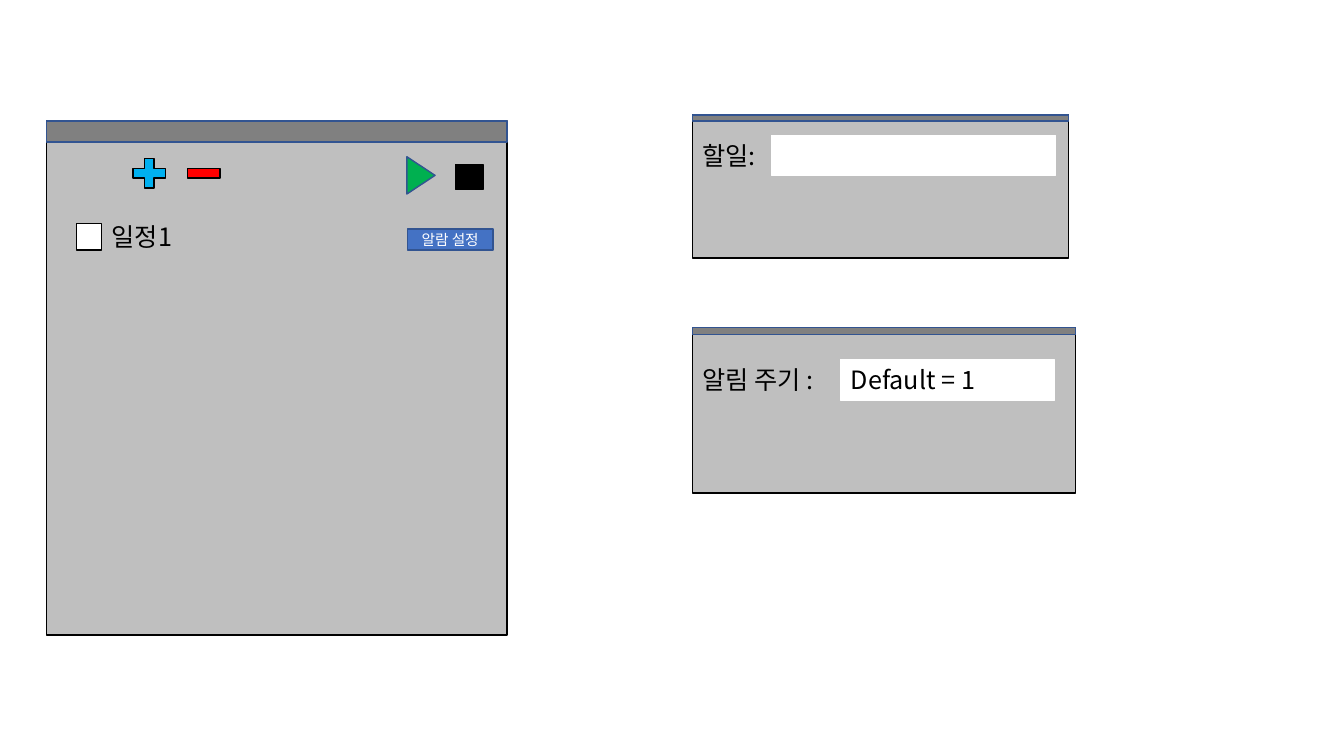
from dataclasses import dataclass

from lxml.etree import SubElement
from pptx import Presentation
from pptx.dml.color import RGBColor
from pptx.enum.shapes import MSO_SHAPE as Preset
from pptx.enum.text import MSO_ANCHOR as Anchor, PP_ALIGN as Align
from pptx.oxml.ns import qn
from pptx.shapes.autoshape import Shape
from pptx.shapes.shapetree import GroupShapes
from pptx.util import Emu, Pt

PX = 9144  # EMU per px, 100 px to the inch
FONT = "Noto Sans CJK KR"
BLACK, WHITE = "000000", "FFFFFF"
PANEL_GRAY, BAR_GRAY = "BFBFBF", "808080"
BLUE, DARK_BLUE = "4472C4", "325491"


@dataclass(frozen=True)
class Label:
    words: str
    size: float = 18
    color: str = BLACK
    align: Align = Align.LEFT
    anchor: Anchor = Anchor.TOP
    bottom_inset: int = 5


@dataclass(frozen=True)
class Control:
    left: int
    top: int
    width: int
    height: int
    fill: str = WHITE
    line: str = BLACK
    line_width: float = 1
    preset: Preset = Preset.RECTANGLE
    rotation: int = 0
    label: Label | None = None


@dataclass(frozen=True)
class Window:
    left: int
    top: int
    width: int
    height: int
    bar_height: int
    controls: tuple[Control, ...]
    title: str = ""


def rgb(color: str) -> RGBColor:
    return RGBColor.from_string(color)


def px(length: int) -> Emu:
    return Emu(length * PX)


def write(box: Shape, label: Label) -> None:
    frame = box.text_frame
    frame.word_wrap = True
    frame.vertical_anchor = label.anchor
    frame.margin_bottom = px(label.bottom_inset)
    para = frame.paragraphs[0]
    span = para.add_run()
    span.text = label.words
    para.alignment = label.align
    para.font.size = Pt(label.size)
    para.font.color.rgb = rgb(label.color)
    # Hangul takes the East Asian typeface, set on the run
    span.font.name = FONT
    SubElement(span.font._element, qn("a:ea"), typeface=FONT)


def draw_control(shapes: GroupShapes, control: Control) -> None:
    box = shapes.add_shape(control.preset, px(control.left), px(control.top),
                           px(control.width), px(control.height))
    box.shadow.inherit = False
    box.rotation = control.rotation
    box.fill.solid()
    box.fill.fore_color.rgb = rgb(control.fill)
    box.line.color.rgb = rgb(control.line)
    box.line.width = Pt(control.line_width)
    if control.label:
        write(box, control.label)


def draw_text(shapes: GroupShapes, left: int, top: int, width: int,
              height: int, label: Label) -> None:
    write(shapes.add_textbox(px(left), px(top), px(width), px(height)), label)


def draw_window(page_shapes: GroupShapes, window: Window) -> GroupShapes:
    shapes = page_shapes.add_group_shape().shapes
    # The title sits above the middle of the panel
    title = Label(window.title, anchor=Anchor.MIDDLE,
                  bottom_inset=67) if window.title else None
    panel = Control(window.left, window.top, window.width, window.height,
                    PANEL_GRAY, label=title)
    bar = Control(window.left, window.top, window.width, window.bar_height,
                  BAR_GRAY, DARK_BLUE)
    for control in (panel, bar, *window.controls):
        draw_control(shapes, control)
    return shapes


# Schedule list with its toolbar, check box and alarm button
SCHEDULE = Window(46, 120, 457, 510, 21, (
    Control(126, 152, 44, 40, "00B0F0", preset=Preset.MATH_PLUS),
    Control(180, 152, 44, 40, "FF0000", preset=Preset.MATH_MINUS),
    Control(76, 222, 25, 26),
    Control(404, 227, 85, 21, BLUE, DARK_BLUE,
            label=Label("알람 설정", 10.5, WHITE, Align.CENTER,
                        Anchor.MIDDLE)),
    Control(399, 160, 37, 28, "00B050", DARK_BLUE,
            preset=Preset.ISOSCELES_TRIANGLE, rotation=90),
    Control(452, 163, 27, 25, BLACK),
))

# Dialogs for a new task and for the alarm interval
TASK = Window(687, 114, 373, 142, 6, (
    Control(765, 134, 282, 40, line=WHITE, line_width=0.75),
), "할일:")
INTERVAL = Window(687, 325, 380, 164, 7, (
    Control(834, 357, 212, 40, line=WHITE, line_width=0.75,
            label=Label("Default = 1")),
), "알림 주기 :")


def main() -> None:
    deck = Presentation()
    deck.slide_width, deck.slide_height = px(1333), px(750)
    page = deck.slides.add_slide(deck.slide_layouts[6])
    schedule = draw_window(page.shapes, SCHEDULE)
    draw_text(schedule, 101, 215, 85, 40, Label("일정1"))
    for dialog in (TASK, INTERVAL):
        draw_window(page.shapes, dialog)
    deck.save("out.pptx")


if __name__ == "__main__":
    main()
